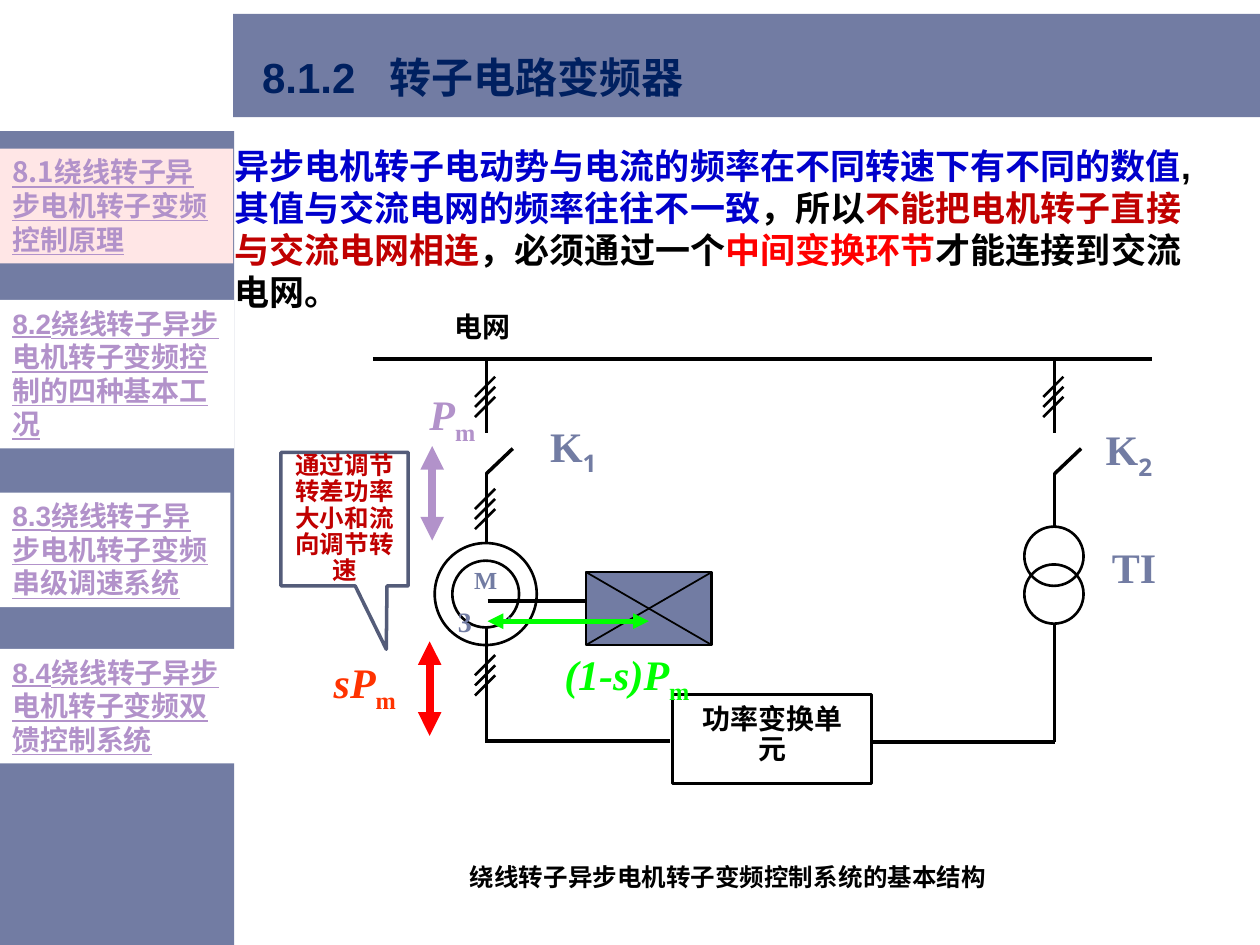
import dataclasses

import lxml.etree
import pptx
import pptx.dml.color
import pptx.enum.shapes
import pptx.enum.text
import pptx.oxml.ns
import pptx.util

Inches = pptx.util.Inches
Shape = pptx.enum.shapes.MSO_SHAPE
Anchor = pptx.enum.text.MSO_ANCHOR
Align = pptx.enum.text.PP_ALIGN
qn = pptx.oxml.ns.qn


@dataclasses.dataclass(frozen=True)
class Theme:
    """Colours, fonts and type sizes of the slide."""
    slate: str = "727CA3"
    slate_dark: str = "545C79"
    navy: str = "002060"
    blue: str = "0000CC"
    crimson: str = "C00000"
    red: str = "FF0000"
    orange: str = "FF3300"
    green: str = "00FF00"
    lilac: str = "B292CA"
    blush: str = "FFE6E6"
    white: str = "FFFFFF"
    black: str = "000000"
    sans: str = "Arial"
    label: str = "Noto Sans"
    serif: str = "Times New Roman"
    chinese: str = "Noto Sans CJK SC"
    title: int = 24
    body: int = 20
    small: int = 16
    note: int = 14


THEME = Theme()
SLASH_STEP = 0.08


def style(size, color, name=THEME.sans, **extra):
    """Return the format values of one run."""
    return dict(name=name, size=pptx.util.Pt(size), bold=True, color=color, **extra)


def write(holder, runs, align=Align.LEFT, anchor=Anchor.TOP, wrap=True, spacing=1.0, insets=None):
    """Fill one paragraph with (text, format) runs."""
    frame = holder.text_frame
    frame.word_wrap, frame.vertical_anchor = wrap, anchor
    if insets is not None:
        for side, inset in zip(("left", "top", "right", "bottom"), insets):
            setattr(frame, "margin_" + side, Inches(inset))
    para = frame.paragraphs[0]
    para.alignment, para.line_spacing = align, spacing
    for text, values in runs:
        span = para.add_run()
        span.text = text
        properties = span._r.get_or_add_rPr()
        for key, value in values.items():
            if key == "color":
                span.font.color.rgb = pptx.dml.color.RGBColor.from_string(value)
            elif key in ("baseline", "spc"):
                properties.set(key, str(value))
            else:
                setattr(span.font, key, value)
        lxml.etree.SubElement(properties, qn("a:ea")).set("typeface", THEME.chinese)


@dataclasses.dataclass
class Region:
    """A drawing area whose parts are placed from its left top corner."""
    shapes: object
    left: float
    top: float

    def text(self, box, runs, **layout):
        """Add a text box."""
        x, y, width, height = box
        holder = self.shapes.add_textbox(Inches(self.left + x), Inches(self.top + y),
                                         Inches(width), Inches(height))
        write(holder, runs, **layout)

    def shape(self, kind, box, fill=None, line=None, weight=1.5):
        """Add a preset shape, open unless a fill is given."""
        x, y, width, height = box
        item = self.shapes.add_shape(kind, Inches(self.left + x), Inches(self.top + y),
                                     Inches(width), Inches(height))
        item.shadow.inherit = False
        for part, color in ((item.fill, fill), (item.line.fill, line)):
            if color:
                part.solid()
                part.fore_color.rgb = pptx.dml.color.RGBColor.from_string(color)
            else:
                part.background()
        if line:
            item.line.width = pptx.util.Pt(weight)
        return item

    def line(self, start, end, weight=2, color=THEME.black, arrows=False):
        """Add a straight line, with arrowheads at both ends if asked."""
        points = [Inches(edge + value) for point in (start, end)
                  for edge, value in zip((self.left, self.top), point)]
        item = self.shapes.add_connector(pptx.enum.shapes.MSO_CONNECTOR.STRAIGHT, *points)
        item.line.width = pptx.util.Pt(weight)
        item.line.color.rgb = pptx.dml.color.RGBColor.from_string(color)
        properties = item._element.spPr
        if arrows:
            for end_tag in ("a:headEnd", "a:tailEnd"):
                lxml.etree.SubElement(properties.find(qn("a:ln")), qn(end_tag)).set("type", "triangle")
        lxml.etree.SubElement(properties, qn("a:effectLst"))


def add_header(page, left, top):
    """Draw the title band and the title."""
    region = Region(page.shapes, left, top)
    region.shape(Shape.RECTANGLE, (0, 0, 8.15, 0.82), THEME.slate)
    values = style(THEME.title, THEME.navy)
    region.text((0.23, 0.12, 6.34, 0.81),
                [("8.1.2", values), (" ", dict(values, spc=1300)), ("转子电路变频器", values)],
                anchor=Anchor.MIDDLE, spacing=0.9, insets=(0, 0, 0.1, 0))


def add_sidebar(page, left, top):
    """Draw the side panel with its chapter entries."""
    region = Region(page.shapes, left, top)
    region.shape(Shape.RECTANGLE, (0, 0, 1.86, 6.46), THEME.slate)
    entries = (
        (0.14, 1.85, 0.91, THEME.blush, THEME.chinese, "8.1绕线转子异步电机转子变频控制原理"),
        (1.34, 1.86, 1.18, THEME.white, THEME.sans, "8.2绕线转子异步电机转子变频控制的四种基本工况"),
        (2.87, 1.83, 0.91, THEME.white, THEME.sans, "8.3绕线转子异步电机转子变频串级调速系统"),
        (4.11, 1.88, 0.91, THEME.white, THEME.sans, "8.4绕线转子异步电机转子变频双馈控制系统"))
    for y, width, height, fill, name, text in entries:
        entry = region.shape(Shape.RECTANGLE, (0, y, width, height), fill)
        write(entry, [(text, style(THEME.small, THEME.lilac, name, underline=True))])


def add_body(page, left, top):
    """Write the explanation and the caption."""
    region = Region(page.shapes, left, top)
    parts = (("异步电机转子电动势与电流的频率在不同转速下有不同的数值", THEME.blue), (",", THEME.black),
             ("其值与交流电网的频率往往不一致", THEME.blue), ("，所以", THEME.black),
             ("不能把电机转子直接与交流电网相连", THEME.crimson), ("，必须通过一个", THEME.black),
             ("中间变换环节", THEME.red), ("才能连接到交流电网。", THEME.black))
    region.text((0, 0, 7.85, 4.58), [(text, style(THEME.body, color)) for text, color in parts],
                insets=(0, 0, 0.1, 0))
    region.text((1.87, 5.57, 4.74, 0.51),
                [("绕线转子异步电机转子变频控制系统", style(THEME.note, THEME.black)),
                 ("的基本结构", style(THEME.note, THEME.black, THEME.serif))],
                anchor=Anchor.MIDDLE, spacing=0.9, insets=(0, 0, 0.1, 0))


def add_slashes(region, x, y):
    """Draw the three-phase mark across a wire."""
    for step in range(3):
        base = y + step * SLASH_STEP
        region.line((x - 0.09, base), (x + 0.07, base - 0.16), 1.5)


def add_feeder(region, x, end):
    """Draw a feeder with its open switch, from the bus down to end."""
    region.line((x, 0.45), (x, 1.04))
    add_slashes(region, x, 0.75)
    region.line((x, 1.36), (x + 0.21, 1.16))
    region.line((x, 1.35), (x, end))


def add_circuit(page, left, top):
    """Draw the grid, motor, transformer and converter circuit."""
    region = Region(page.shapes.add_group_shape().shapes, left, top)
    motor, transformer = 0.9, 5.41
    region.line((0, 0.45), (6.18, 0.45))
    add_feeder(region, motor, 1.9)
    add_feeder(region, transformer, 1.79)
    for y in (1.64, 2.96):
        add_slashes(region, motor, y)
    for start, end in (((motor, 2.57), (motor, 3.48)), ((motor - 0.01, 3.48), (2.36, 3.48)),
                       ((transformer, 2.56), (transformer, 3.49)), ((3.97, 3.49), (transformer, 3.49))):
        region.line(start, end)
    for x, y, size in ((0.49, 1.91, 0.81), (0.63, 2.05, 0.53), (5.17, 1.78, 0.47), (5.17, 2.08, 0.47)):
        region.shape(Shape.OVAL, (x, y, size, size), line=THEME.black)
    region.shape(Shape.RECTANGLE, (2.38, 3.11, 1.58, 0.71), line=THEME.black, weight=1.75)
    name = style(THEME.small, THEME.black, THEME.label)
    letter = style(THEME.title, THEME.slate, THEME.serif)
    index = style(THEME.title, THEME.slate, THEME.label, baseline=-25000)
    labels = (
        ((2.44, 3.05, 1.46, 0.77), [("功率变换单元", name)]),
        ((0.16, 0, 1.42, 0.41), [("电网", name)]),
        ((0.88, 0.81, 1.42, 0.67), [("K", letter), ("1", index)]),
        ((0.52, 1.98, 0.75, 0.47), [("M", style(THEME.note, THEME.slate, THEME.serif))]),
        ((0.51, 2.17, 0.75, 0.47), [("3", style(THEME.small, THEME.slate, THEME.serif)),
                                    (" ", style(48, THEME.slate, THEME.serif)),
                                    ("~", style(THEME.body, THEME.slate, THEME.serif))]),
        ((5.29, 0.84, 1.42, 0.67), [("K", letter), ("2", index)]),
        ((5.33, 1.79, 1.42, 0.67), [("TI", letter)]))
    for box, runs in labels:
        region.text(box, runs, align=Align.CENTER, anchor=Anchor.MIDDLE, wrap=False, spacing=0.9)


def add_load(page, left, top):
    """Draw the crossed load block and its shaft."""
    region = Region(page.shapes, left, top)
    region.shape(Shape.RECTANGLE, (0, 0, 1, 0.58), THEME.slate, THEME.black)
    region.line((0, 0), (1, 0.58), 1)
    region.line((0, 0.58), (1, 0), 1)
    region.line((-0.78, 0.23), (0, 0.23), 2.25)


def add_flow(page, left, top, end, weight, color, box, symbol, ink):
    """Draw a two-way power arrow with its symbol."""
    region = Region(page.shapes.add_group_shape().shapes, left, top)
    region.line((0, 0), end, weight, color, arrows=True)
    values = style(THEME.title, ink, THEME.serif)
    region.text(box, [(symbol, dict(values, italic=True)),
                      ("m", dict(values, italic=False, baseline=-25000))], spacing=0.9)


def add_callout(page, left, top):
    """Draw the remark on slip power."""
    callout = Region(page.shapes, left, top).shape(
        Shape.RECTANGULAR_CALLOUT, (0, 0, 1.01, 1.06), THEME.white, THEME.slate_dark, 2)
    callout.adjustments[0], callout.adjustments[1] = 0.328, 0.975
    write(callout, [("通过调节转差功率大小和流向调节转速", style(THEME.note, THEME.crimson))],
          align=Align.CENTER, anchor=Anchor.MIDDLE, spacing=0.9)


deck = pptx.Presentation()
deck.slide_width, deck.slide_height = Inches(10), Inches(7.5)
page = deck.slides.add_slide(deck.slide_layouts[6])
add_header(page, 1.85, 0.11)
add_sidebar(page, 0, 1.04)
add_body(page, 1.86, 1.15)
add_circuit(page, 2.96, 2.4)
add_load(page, 4.65, 4.54)
add_flow(page, 3.43, 3.54, (0, 0.75), 4.5, THEME.lilac, (-0.12, -0.5, 0.62, 0.5), "P", THEME.lilac)
add_flow(page, 3.87, 4.93, (1.28, 0), 3, THEME.green, (0.51, 0.17, 1.78, 0.5), "(1-s)P", THEME.green)
add_flow(page, 3.41, 5.09, (0, 0.75), 4.5, THEME.red, (-0.86, 0.08, 1.02, 0.5), "sP", THEME.orange)
add_callout(page, 2.23, 3.59)
deck.save("out.pptx")
